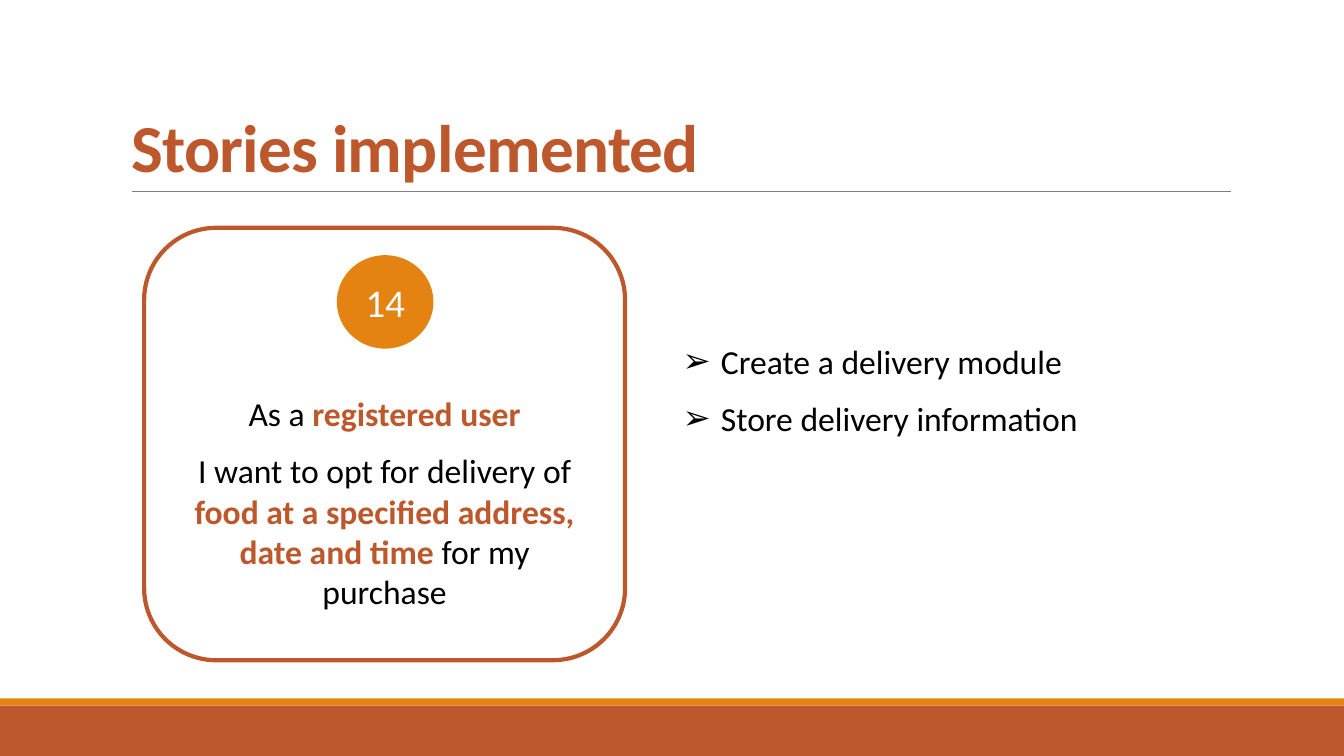
import lxml.etree
import pptx
import pptx.dml.color
import pptx.enum.shapes
import pptx.enum.text
import pptx.oxml.ns
import pptx.util

Inches = pptx.util.Inches
Pt = pptx.util.Pt
Shape = pptx.enum.shapes.MSO_SHAPE
Align = pptx.enum.text.PP_ALIGN
Anchor = pptx.enum.text.MSO_ANCHOR

FONT = "Calibri"
RUST, ORANGE, GREY = "BD582C", "E48312", "808080"
BLACK, WHITE = "000000", "FFFFFF"


def color(value):
    return pptx.dml.color.RGBColor.from_string(value)


def add_box(slide, kind, area, fill, line=None, width=1):
    box = slide.shapes.add_shape(kind, *map(Inches, area))
    box.shadow.inherit = False
    box.fill.solid()
    box.fill.fore_color.rgb = color(fill)
    if line:
        box.line.color.rgb = color(line)
        box.line.width = Pt(width)
    else:
        box.line.fill.background()
    return box


def add_rule(slide, left, right, top):
    rule = slide.shapes.add_connector(
        pptx.enum.shapes.MSO_CONNECTOR.STRAIGHT,
        Inches(left), Inches(top), Inches(right), Inches(top))
    rule.line.color.rgb = color(GREY)
    rule.line.width = Pt(0.5)
    lxml.etree.SubElement(rule._element.spPr, pptx.oxml.ns.qn("a:effectLst"))


def place(holder, area):
    holder.left, holder.top, holder.width, holder.height = map(Inches, area)
    holder.text_frame.auto_size = pptx.enum.text.MSO_AUTO_SIZE.NONE


def add_bullet(para, mark, indent):
    properties = para._p.get_or_add_pPr()
    properties.set("marL", str(Inches(indent)))
    properties.set("indent", str(-Inches(indent)))
    bullet = lxml.etree.SubElement(properties, pptx.oxml.ns.qn("a:buChar"))
    bullet.set("char", mark)


def write(box, paragraphs, size, align, anchor, after=0, bullet=None):
    frame = box.text_frame
    frame.word_wrap = True
    frame.vertical_anchor = anchor
    for index, spans in enumerate(paragraphs):
        para = frame.add_paragraph() if index else frame.paragraphs[0]
        para.alignment = align
        para.space_before = Pt(0)
        para.space_after = Pt(after)
        if bullet:
            add_bullet(para, bullet, 0.38)
        para.font.size = Pt(size)
        para.font.name = FONT
        for text, tint, bold in spans:
            span = para.add_run()
            span.text = text
            span.font.color.rgb = color(tint)
            span.font.bold = bold


def add_title(slide, text):
    title = slide.shapes.title
    place(title, (1.2, 0.31, 11, 1.59))
    write(title, [[(text, RUST, True)]], 48, Align.LEFT, Anchor.BOTTOM)
    para = title.text_frame.paragraphs[0]
    para.line_spacing = 0.85
    para.runs[0]._r.get_or_add_rPr().set("spc", "-50")


def add_tasks(slide, tasks):
    body = slide.placeholders[1]
    place(body, (6.67, 3.33, 5.48, 1.08))
    write(body, [[(task, BLACK, False)] for task in tasks], 24,
          Align.LEFT, Anchor.TOP, after=12, bullet="➢")


def add_story(slide, number, paragraphs):
    card = add_box(slide, Shape.ROUNDED_RECTANGLE, (1.43, 2.26, 4.77, 4.29),
                   WHITE, RUST, 3)
    card.text_frame.margin_top = Inches(1.43)
    write(card, paragraphs, 24, Align.CENTER, Anchor.TOP, after=12)
    badge = add_box(slide, Shape.OVAL, (3.35, 2.54, 0.94, 0.91),
                    ORANGE, ORANGE, 1.25)
    write(badge, [[(number, WHITE, False)]], 28, Align.CENTER, Anchor.MIDDLE)


def main():
    deck = pptx.Presentation()
    deck.slide_width, deck.slide_height = Inches(13.33), Inches(7.5)
    slide = deck.slides.add_slide(deck.slide_layouts[1])
    add_box(slide, Shape.RECTANGLE, (0, 7, 13.33, 0.5), RUST)
    add_box(slide, Shape.RECTANGLE, (0, 6.93, 13.33, 0.07), ORANGE)
    add_rule(slide, 1.31, 12.21, 1.9)
    add_title(slide, "Stories implemented")
    add_tasks(slide, ["Create a delivery module", "Store delivery information"])
    add_story(slide, "14", [
        [("As a ", BLACK, False), ("registered user", RUST, True)],
        [("I want to opt for delivery of ", BLACK, False),
         ("food at a specified address, date and time ", RUST, True),
         ("for my purchase", BLACK, False)],
    ])
    deck.save("out.pptx")


if __name__ == "__main__":
    main()
